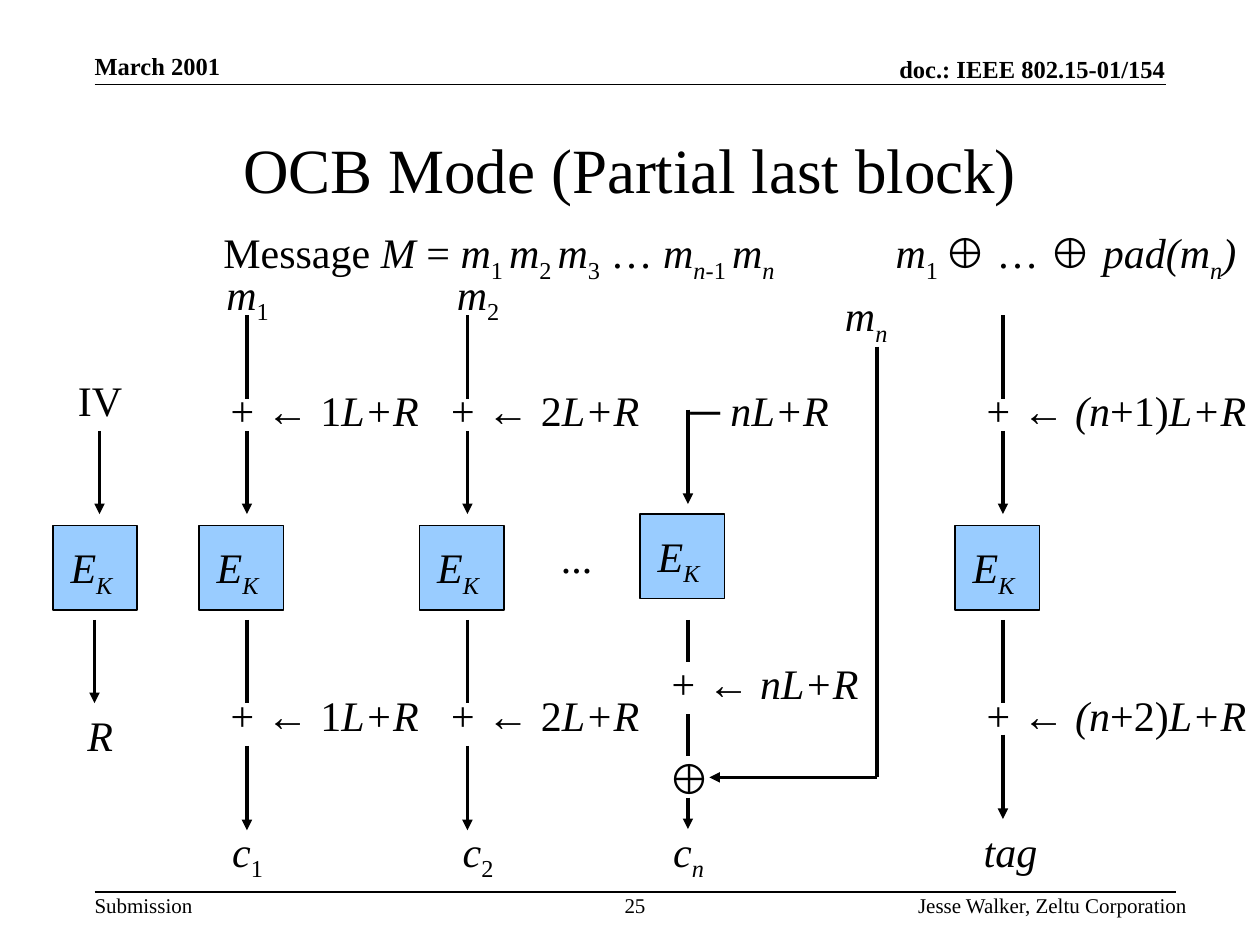
from lxml import etree
from pptx import Presentation
from pptx.dml.color import RGBColor
from pptx.enum.shapes import MSO_CONNECTOR, MSO_SHAPE
from pptx.enum.text import MSO_ANCHOR, PP_ALIGN
from pptx.oxml.ns import qn
from pptx.util import Inches, Pt

BLACK, BLUE = "000000", "99CCFF"
LEFT, CENTER, RIGHT = PP_ALIGN.LEFT, PP_ALIGN.CENTER, PP_ALIGN.RIGHT

presentation = Presentation()
presentation.slide_width, presentation.slide_height = Inches(10), Inches(7.5)
slide = presentation.slides.add_slide(presentation.slide_layouts[6])


def write(left, top, width, height, runs, align=LEFT, size=24,
          insets=(0.1, 0.05, 0.1, 0.05), anchor=MSO_ANCHOR.TOP, fill=None):
    """Add text, in a filled box if fill is given.

    Each run is (text, style); style letters: i italic, b bold, s subscript, a Arial.
    """
    box = [Inches(value) for value in (left, top, width, height)]
    if fill:
        shape = slide.shapes.add_shape(MSO_SHAPE.RECTANGLE, *box)
        shape.shadow.inherit = False
        shape.fill.solid()
        shape.fill.fore_color.rgb = RGBColor.from_string(fill)
        shape.line.color.rgb = RGBColor.from_string(BLACK)
        shape.line.width = Pt(1)
    else:
        shape = slide.shapes.add_textbox(*box)
    frame = shape.text_frame
    frame.word_wrap = True
    frame.vertical_anchor = anchor
    (frame.margin_left, frame.margin_top,
     frame.margin_right, frame.margin_bottom) = [Inches(inset) for inset in insets]
    paragraph = frame.paragraphs[0]
    paragraph.alignment = align
    for text, style in runs:
        run = paragraph.add_run()
        run.text = text
        run.font.size = Pt(size)
        run.font.name = "Arial" if "a" in style else "Times New Roman"
        run.font.color.rgb = RGBColor.from_string(BLACK)
        run.font.italic = "i" in style
        run.font.bold = "b" in style
        if "s" in style:
            run.font._element.set("baseline", "-25000")


def draw_line(x1, y1, x2, y2, arrow=False, width=2):
    connector = slide.shapes.add_connector(
        MSO_CONNECTOR.STRAIGHT, Inches(x1), Inches(y1), Inches(x2), Inches(y2))
    connector.line.color.rgb = RGBColor.from_string(BLACK)
    connector.line.width = Pt(width)
    if arrow:
        line = connector.line._get_or_add_ln()
        etree.SubElement(line, qn("a:tailEnd"), type="triangle")
    etree.SubElement(connector._element.spPr, qn("a:effectLst"))


# Header, footer and title
NO_INSETS = (0, 0, 0, 0)
for left, top, width, height, text, align, size, style, anchor in [
    (0.75, 0.41, 1.75, 0.23, "March 2001", LEFT, 14, "b", MSO_ANCHOR.BOTTOM),
    (4.92, 0.43, 4.33, 0.23, "doc.: IEEE 802.15-01/154", RIGHT, 14, "b", MSO_ANCHOR.BOTTOM),
    (0.75, 7.08, 0.78, 0.2, "Submission", LEFT, 12, "", MSO_ANCHOR.TOP),
    (4.75, 7.08, 0.58, 0.2, "25", CENTER, 12, "", MSO_ANCHOR.TOP),
    (6, 7.08, 3.42, 0.2, "Jesse Walker, Zeltu Corporation", RIGHT, 12, "", MSO_ANCHOR.TOP),
]:
    write(left, top, width, height, [(text, style)], align, size, NO_INSETS, anchor)
draw_line(0.75, 0.67, 9.25, 0.67, width=1)
draw_line(0.75, 7.08, 9.33, 7.08, width=1)
write(0.75, 0.75, 8.5, 1.17, [("OCB Mode (Partial last block)", "")], CENTER, 36,
      anchor=MSO_ANCHOR.MIDDLE)

# Message and checksum formulas
write(1.17, 1.75, 5.58, 0.56, [
    ("Message", ""), (" M", "i"), (" = ", ""), ("m", "i"), ("1 ", "s"), ("m", "i"),
    ("2 ", "s"), ("m", "i"), ("3", "s"), (" … ", ""), ("m", "i"), ("n", "is"),
    ("-1 ", "s"), ("m", "i"), ("n", "is")], CENTER)
write(6.92, 1.75, 3.08, 0.56, [
    ("m", "i"), ("1 ", "s"), ("⊕", "a"), (" … ", ""), ("⊕ ", "a"),
    ("pad(m", "i"), ("n", "is"), (")", "i")], CENTER)

# Cipher boxes
for left, top in [(0.42, 4.17), (1.58, 4.17), (3.33, 4.17), (5.08, 4.08), (7.58, 4.17)]:
    write(left, top, 0.67, 0.67, [("E", "i"), ("K", "is")],
          insets=(0.14, 0.13, 0, 0), fill=BLUE)

# IV column
write(0.46, 2.92, 0.67, 0.5, [("IV", "")], CENTER)
draw_line(0.79, 3.42, 0.79, 4.08, arrow=True)
draw_line(0.75, 4.92, 0.75, 5.58, arrow=True)
write(0.46, 5.58, 0.67, 0.5, [("R", "i")], CENTER)

# Columns that add an offset before and after the cipher
PLUS, ARROW = ("+ ", "i"), ("← ", "ia")
first_offset = [PLUS, ARROW, ("1", ""), ("L+R", "i")]
second_offset = [PLUS, ARROW, ("2", ""), ("L+R", "i")]
tag_offsets = [[PLUS, ("←", "ia"), (" (n", "i"), (f"+{step})", ""), ("L+R", "i")]
               for step in (1, 2)]
for x, width, before, after, output_top in [
    (1.96, 1.75, first_offset, first_offset, 5.92),
    (3.71, 1.75, second_offset, second_offset, 5.92),
    (7.96, 2.46, *tag_offsets, 5.83),
]:
    draw_line(x, 2.5, x, 3.17)
    write(x - 0.25, 3, width, 0.5, before)
    draw_line(x, 3.42, x, 4.08, arrow=True)
    draw_line(x, 4.92, x, 5.58)
    write(x - 0.25, 5.42, width, 0.5, after)
    draw_line(x, output_top, x, output_top + 0.67, arrow=True)

# Block names
for left, top, letter, index, style in [
    (1.63, 2.08, "m", "1", "s"), (3.46, 2.08, "m", "2", "s"), (6.54, 2.25, "m", "n", "is"),
    (1.63, 6.5, "c", "1", "s"), (3.46, 6.5, "c", "2", "s"), (5.13, 6.5, "c", "n", "is"),
]:
    write(left, top, 0.67, 0.56, [(letter, "i"), (index, style)], CENTER)
write(7.5, 6.5, 1.04, 0.5, [("tag", "i")], CENTER)
write(4.25, 4.17, 0.67, 0.5, [("...", "i")], CENTER)

# Partial last block
write(5.38, 3, 1.75, 0.5, [("─", "ia"), (" nL+R", "i")])
write(5.21, 5.17, 1.75, 0.5, [PLUS, ("←", "ia"), (" nL+R", "i")])
write(5.21, 5.92, 0.75, 0.5, [("⊕", "a")])
for top, bottom, arrow in [(3.25, 4, True), (4.92, 5.25, False),
                           (5.67, 6, False), (6.33, 6.58, True)]:
    draw_line(5.46, top, 5.46, bottom, arrow)
draw_line(6.96, 2.75, 6.96, 6.17)
draw_line(6.96, 6.17, 5.63, 6.17, arrow=True)

presentation.save("out.pptx")
